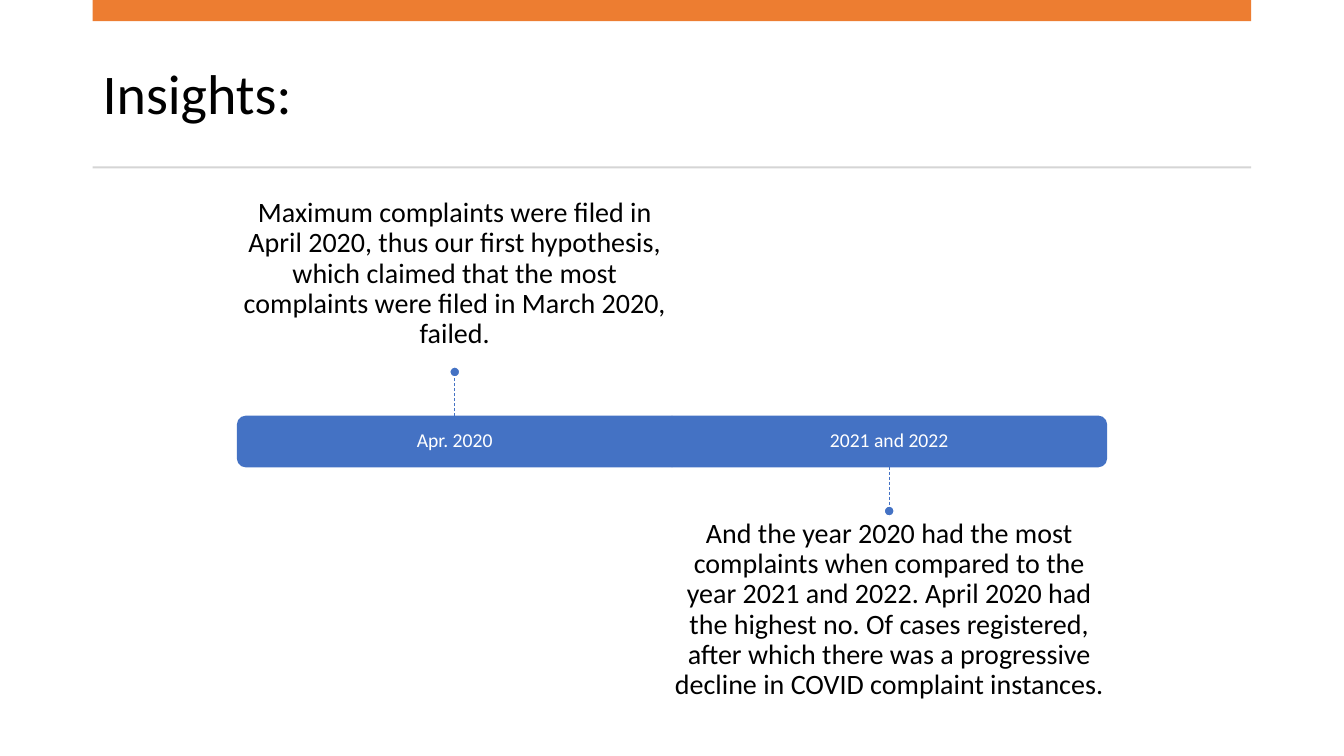
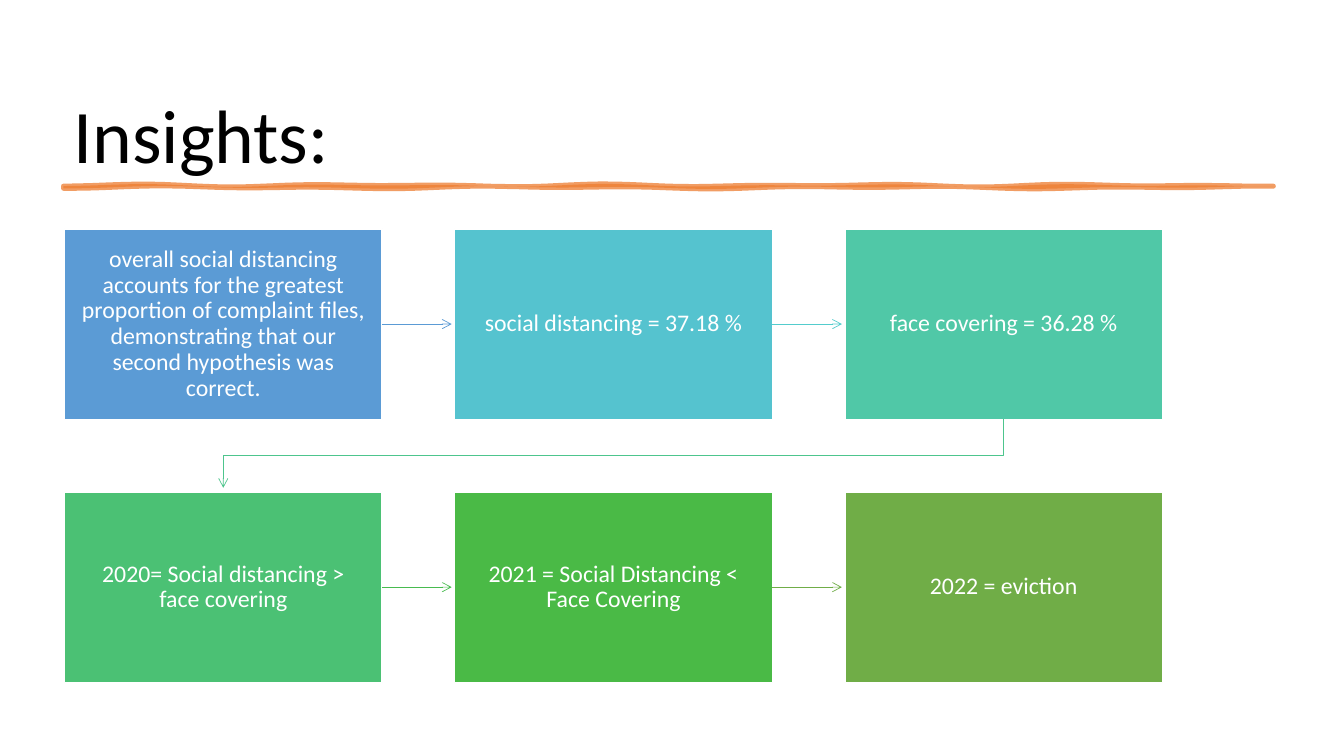
from dataclasses import dataclass
from math import sin

from lxml import etree
from pptx import Presentation
from pptx.dml.color import RGBColor
from pptx.enum.dml import MSO_LINE
from pptx.enum.shapes import MSO_CONNECTOR, MSO_SHAPE
from pptx.enum.text import MSO_ANCHOR, PP_ALIGN
from pptx.oxml.ns import qn
from pptx.util import Inches, Pt

RECT, DOT, HALF_ROUND = MSO_SHAPE.RECTANGLE, MSO_SHAPE.OVAL, MSO_SHAPE.ROUND_2_SAME_RECTANGLE
STRAIGHT, DASH = MSO_CONNECTOR.STRAIGHT, MSO_LINE.DASH
LEFT, CENTER = PP_ALIGN.LEFT, PP_ALIGN.CENTER
TOP, MIDDLE, BOTTOM = MSO_ANCHOR.TOP, MSO_ANCHOR.MIDDLE, MSO_ANCHOR.BOTTOM


@dataclass(frozen=True)
class Theme:
    font: str = "Calibri"
    ink: str = "000000"
    paper: str = "FFFFFF"
    accent: str = "ED7D31"
    rule: str = "D5D5D5"
    bar: str = "4472C4"
    boxes: tuple = ("5B9BD5", "55C3CF", "50C8A7", "4BC174", "4ABA46", "70AD47")
    arrows: tuple = ("5B9BD5", "54CCCD", "4DC58D", "48BB4F", "70AD47")
    title: int = 40
    big_title: int = 54
    body: int = 20
    box: int = 17
    label: int = 14


T = Theme()
W, H = 13.33, 7.5


def write(sp, text, size, color=T.ink, align=CENTER, anchor=MIDDLE, insets=(0.1, 0.05, 0.1, 0.05)):
    """Fill a shape with one paragraph; insets are left, top, right, bottom."""
    tf = sp.text_frame
    tf.word_wrap = True
    tf.vertical_anchor = anchor
    tf.margin_left, tf.margin_top, tf.margin_right, tf.margin_bottom = map(Inches, insets)
    p = tf.paragraphs[0]
    p.alignment = align
    p.line_spacing = 0.9
    r = p.add_run()
    r.text = text
    r.font.name, r.font.size = T.font, Pt(size)
    r.font.color.rgb = RGBColor.from_string(color)


def style(sp, fill=None, line=None, width=1, dash=None, arrow=False, alpha=None):
    """Set fill, line, arrowhead and opacity, and remove the shadow."""
    if fill:
        sp.fill.solid()
        sp.fill.fore_color.rgb = RGBColor.from_string(fill)
    elif hasattr(sp, "fill"):
        sp.fill.background()
    if line:
        sp.line.color.rgb = RGBColor.from_string(line)
        sp.line.width = Pt(width)
        if dash:
            sp.line.dash_style = dash
    else:
        sp.line.fill.background()
    spPr = sp.element.spPr
    if arrow:
        etree.SubElement(spPr.find(qn("a:ln")), qn("a:tailEnd"), type="arrow")
    if alpha:
        for color in spPr.iter(qn("a:srgbClr")):
            etree.SubElement(color, qn("a:alpha"), val=str(alpha * 1000))
    etree.SubElement(spPr, qn("a:effectLst"))


prs = Presentation()
prs.slide_width, prs.slide_height = Inches(W), Inches(H)
blank = prs.slide_layouts[6]

# Slide 1: title between band and rule
s = prs.slides.add_slide(blank)
margin = 0.069 * W
content = W - 2 * margin
sp = s.shapes.add_textbox(*map(Inches, (margin, 0.37, content, 1.18)))
write(sp, "Insights:", T.title, align=LEFT)
for top, height, color in ((0, 0.21, T.accent), (1.65, 0.02, T.rule)):
    sp = s.shapes.add_shape(RECT, *map(Inches, (margin, top, content, height)))
    style(sp, color)

# Timeline: two half bars, each with a stem, a dot and a callout
half = content * 3 / 8
bar_h, stem, dot = H / 15, 0.39, 0.1
bar_y = 0.584 * H
events = (
    ("Apr. 2020", "Maximum complaints were filed in April 2020, thus our first hypothesis, "
     "which claimed that the most complaints were filed in March 2020, failed.",
     -1, 1.9, BOTTOM, (0, 0, 0, 0.17)),
    ("2021 and 2022", "And the year 2020 had the most complaints when compared to the year "
     "2021 and 2022. April 2020 had the highest no. Of cases registered, after which there "
     "was a progressive decline in COVID complaint instances.",
     1, 4.98, TOP, (0, 0.17, 0, 0)),
)
for label, text, side, text_y, anchor, insets in events:
    x = W / 2 + side * half / 2
    left = x - half / 2
    sp = s.shapes.add_shape(HALF_ROUND, *map(Inches, (x - bar_h / 2, bar_y - half / 2, bar_h, half)))
    sp.rotation = 90 * side % 360
    style(sp, T.bar, T.bar)
    sp = s.shapes.add_textbox(*map(Inches, (left, bar_y - bar_h / 2, half, bar_h)))
    write(sp, label, T.label, T.paper, insets=(0.12,) * 4)
    sp = s.shapes.add_textbox(*map(Inches, (left, text_y, half, 1.74)))
    write(sp, text, T.body, anchor=anchor, insets=insets)
    near = bar_y + side * bar_h / 2
    far = near + side * stem
    sp = s.shapes.add_connector(STRAIGHT, *map(Inches, (x, near, x, far)))
    style(sp, line=T.bar, width=0.5, dash=DASH)
    dot_y = far + side * dot / 2
    sp = s.shapes.add_shape(DOT, *map(Inches, (x - dot / 2, dot_y - dot / 2, dot, dot)))
    style(sp, T.bar, T.paper)

# Slide 2: title over a hand-drawn stroke
s = prs.slides.add_slide(blank)
sp = s.shapes.add_textbox(*map(Inches, (0.63, 0.26, 12.05, 1.57)))
write(sp, "Insights:", T.big_title, align=LEFT, anchor=BOTTOM)
xs = [0.63 + 0.1 * i for i in range(121)]
upper = [(x, 1.84 + 0.015 * sin(3.4 * x) * sin(0.8 * x)) for x in xs]
lower = [(x, 1.86 + 0.015 * sin(2.9 * x) * sin(1.1 * x)) for x in reversed(xs)]
outline = [(Inches(x), Inches(y)) for x, y in upper + lower]
fb = s.shapes.build_freeform(*outline[0])
fb.add_line_segments(outline[1:], close=True)
style(fb.convert_to_shape(), T.accent, T.accent, 3.5, alpha=75)

# Boxes on a grid of three columns and two rows
cols, box_w, box_h = 3, 3.15, 1.89
x0, y0, col, row = 0.64, 2.27, 3.87, 2.61
texts = (
    "overall social distancing accounts for the greatest proportion of complaint files, "
    "demonstrating that our second hypothesis was correct.",
    "social distancing = 37.18 %",
    "face covering = 36.28 %",
    "2020= Social distancing > face covering",
    "2021 = Social Distancing < Face Covering",
    "2022 = eviction",
)
cells = [(x0 + i % cols * col, y0 + i // cols * row) for i in range(len(texts))]
for (x, y), text, color in zip(cells, texts, T.boxes):
    sp = s.shapes.add_shape(RECT, *map(Inches, (x, y, box_w, box_h)))
    style(sp, color, T.paper)
    write(sp, text, T.box, T.paper, insets=(0.15, 0.16, 0.15, 0.16))

# Arrows from each box to the next, turning at the end of a row
for (x, y), (next_x, next_y), color in zip(cells, cells[1:], T.arrows):
    if y == next_y:
        mid = y + box_h / 2
        sp = s.shapes.add_connector(STRAIGHT, *map(Inches, (x + box_w, mid, next_x - 0.03, mid)))
    else:
        start, end = x + box_w / 2, next_x + box_w / 2
        turn = (y + box_h + next_y) / 2
        fb = s.shapes.build_freeform(Inches(start), Inches(y + box_h))
        bends = ((start, turn), (end, turn), (end, next_y - 0.04))
        fb.add_line_segments([(Inches(a), Inches(b)) for a, b in bends], close=False)
        sp = fb.convert_to_shape()
    style(sp, line=color, width=0.5, arrow=True)

prs.save("out.pptx")
